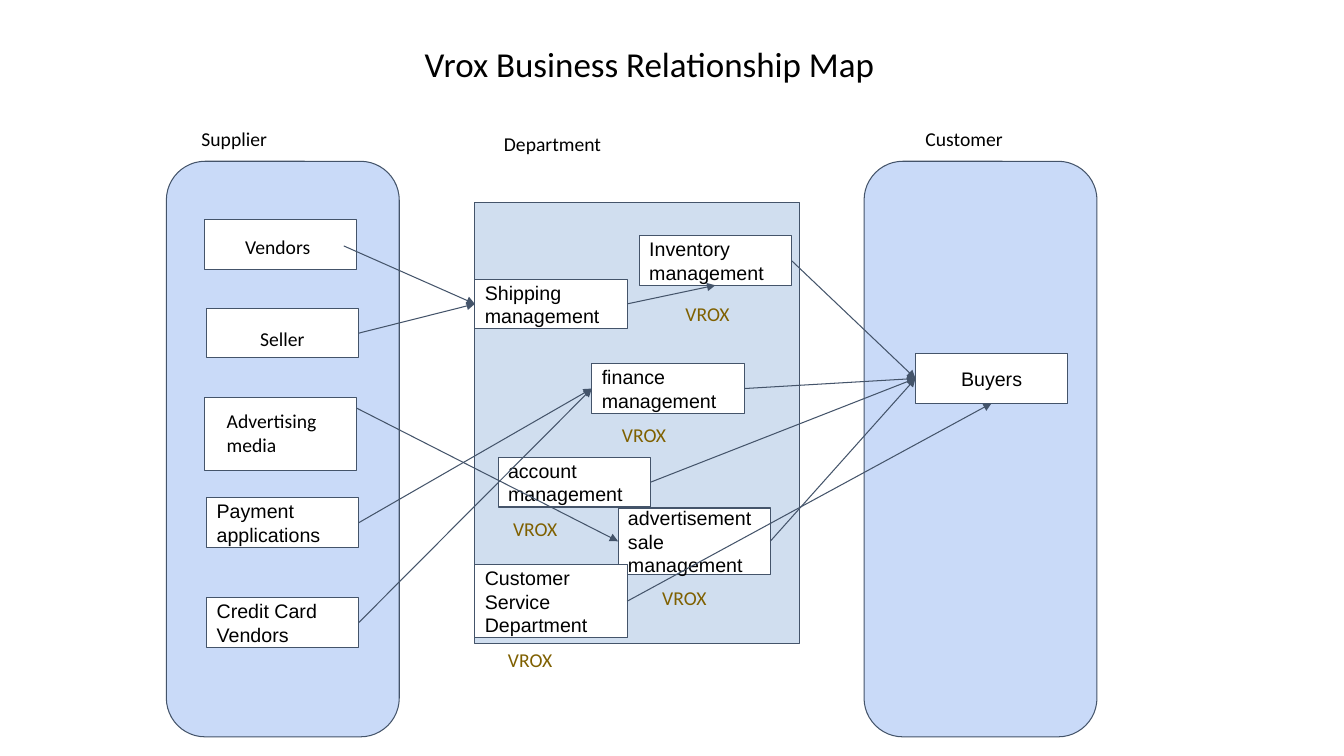
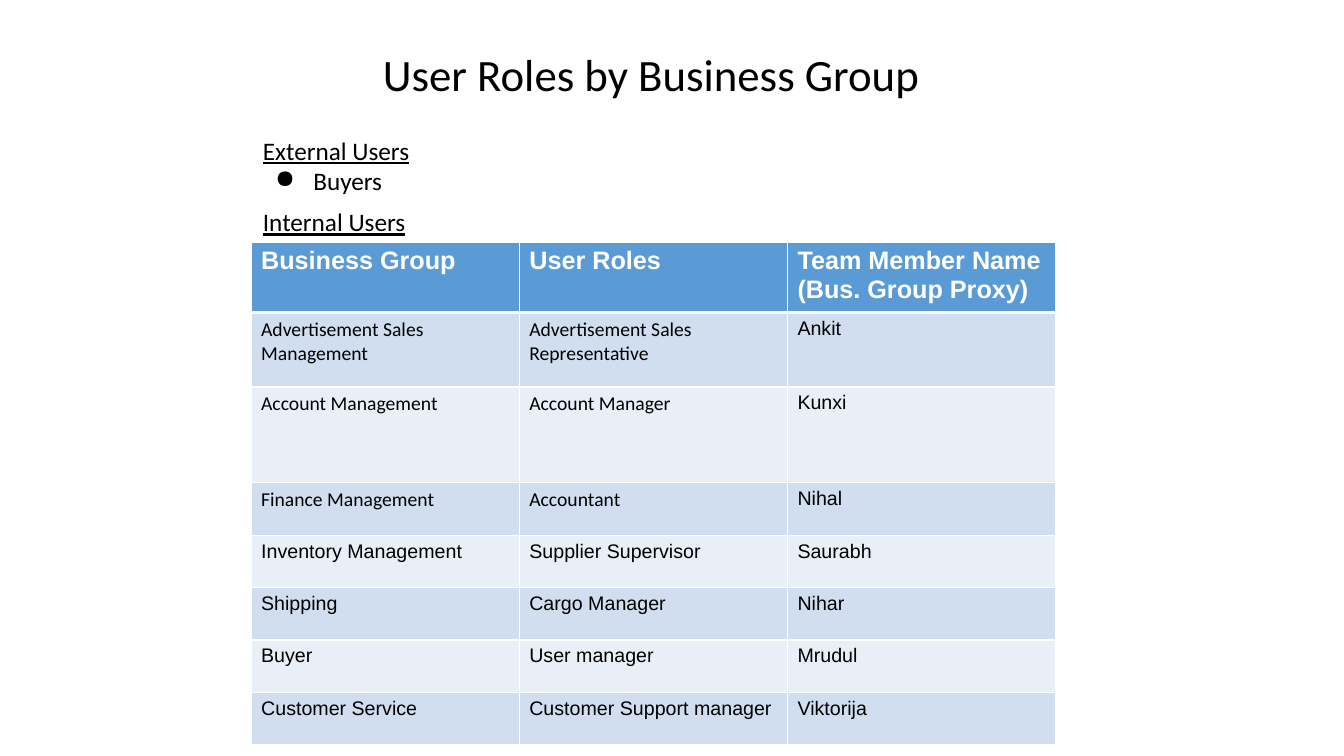
from dataclasses import dataclass

from lxml import etree
from pptx import Presentation
from pptx.dml.color import RGBColor
from pptx.enum.shapes import MSO_CONNECTOR, MSO_SHAPE
from pptx.enum.text import MSO_ANCHOR, MSO_AUTO_SIZE, PP_ALIGN
from pptx.oxml.ns import qn
from pptx.util import Emu, Pt

RECT = MSO_SHAPE.RECTANGLE
ROUNDED = MSO_SHAPE.FLOWCHART_ALTERNATE_PROCESS
STRAIGHT = MSO_CONNECTOR.STRAIGHT
LEFT, CENTER = PP_ALIGN.LEFT, PP_ALIGN.CENTER
MIDDLE, TOP_ANCHOR = MSO_ANCHOR.MIDDLE, MSO_ANCHOR.TOP
GROW = MSO_AUTO_SIZE.SHAPE_TO_FIT_TEXT
SITE_LEFT, SITE_BOTTOM, SITE_RIGHT = 1, 2, 3
EMU_PER_PX = 9144
BOX_W, BOX_H = 151, 49


@dataclass(frozen=True)
class Theme:
    """Colours, fonts, type sizes and line widths of both slides."""
    ink: str = "000000"
    paper: str = "FFFFFF"
    outline: str = "44546A"
    lane: str = "C9DAF8"
    band: str = "D0DEEF"
    band_light: str = "E9EFF7"
    header: str = "5B9BD5"
    tag: str = "7F6000"
    sans: str = "Arial"
    humanist: str = "Calibri"
    body: int = 14
    heading: int = 18
    map_title: int = 25
    roles_title: int = 32
    stroke: float = 0.75


THEME = Theme()

SUPPLIERS = [
    ("vendors", (203, 218), BOX_H, ""),
    ("seller", (205, 306), BOX_H, ""),
    ("media", (203, 394), 73, ""),
    ("payment", (205, 494), BOX_H, "Payment applications"),
    ("credit", (205, 593), BOX_H, "Credit Card Vendors"),
]
DEPARTMENTS = [
    ("shipping", (471, 277), BOX_H, "Shipping management"),
    ("finance", (587, 361), BOX_H, "finance management"),
    ("account", (494, 454), BOX_H, "account management"),
    ("advertisement", (613, 504), 66, "advertisement sale management"),
    ("inventory", (634, 234), BOX_H, "Inventory management"),
    ("service", (471, 560), 73, "Customer Service Department"),
]
SUPPLIER_CAPTIONS = [
    ("Vendors", (210, 223, 131, 44), CENTER),
    ("Seller", (219, 314, 122, 44), CENTER),
    ("Advertising media", (215, 396, 122, 67), LEFT),
]
LANE_CAPTIONS = [
    ("Supplier", (190, 116, 180, 44), LEFT),
    ("Department", (490, 121, 274, 44), LEFT),
    ("Customer", (908, 116, 231, 44), LEFT),
]
TAG_FRAMES = [
    (670, 290, 89, 44), (607, 410, 75, 44), (647, 571, 84, 44),
    (499, 503, 88, 44), (494, 633, 104, 44),
]
FLOWS = [
    ((341, 244), "shipping", SITE_LEFT),
    ("seller", "shipping", SITE_LEFT),
    ((354, 405), "advertisement", SITE_LEFT),
    ("payment", "finance", SITE_LEFT),
    ("credit", "finance", SITE_LEFT),
    ("shipping", "inventory", SITE_BOTTOM),
    ("inventory", "buyers", SITE_LEFT),
    ("finance", "buyers", SITE_LEFT),
    ("advertisement", "buyers", SITE_LEFT),
    ("account", "buyers", SITE_LEFT),
    ("service", "buyers", SITE_BOTTOM),
]
ROLE_HEADER = ["Business Group", "User Roles", "Team Member Name\n(Bus. Group Proxy)"]
ROLE_ROWS = [
    ["Advertisement Sales Management", "Advertisement Sales Representative", "Ankit"],
    ["Account Management", "Account Manager", "Kunxi"],
    ["Finance Management", "Accountant", "Nihal"],
    ["Inventory Management", "Supplier Supervisor", "Saurabh"],
    ["Shipping", "Cargo Manager", "Nihar"],
    ["Buyer", "User manager", "Mrudul"],
    ["Customer Service", "Customer Support manager", "Viktorija"],
]
ROLE_HEIGHTS = [65, 74, 95] + [52] * 5
ROLE_COLUMN = 266


def px(*lengths):
    """Turn whole pixels into EMU lengths."""
    return [Emu(length * EMU_PER_PX) for length in lengths]


def rgb(colour):
    """Return a theme colour as an RGBColor."""
    return RGBColor.from_string(colour)


def add_run(paragraph, text, font, size=THEME.body, colour=THEME.ink, bold=False, underline=False):
    """Append one formatted run to a paragraph."""
    run = paragraph.add_run()
    run.text = text
    run.font.name = font
    run.font.size = Pt(size)
    run.font.color.rgb = rgb(colour)
    run.font.bold = bold
    run.font.underline = underline


def set_frame(frame, pad, anchor):
    """Wrap the text frame and give it insets and an anchor."""
    frame.word_wrap = True
    frame.margin_left, frame.margin_right = px(10, 10)
    frame.margin_top, frame.margin_bottom = px(pad, pad)
    frame.vertical_anchor = anchor


def add_text(slide, text, place, align=LEFT, pad=10, **style):
    """Add a text box with one run and return its text frame."""
    frame = slide.shapes.add_textbox(*px(*place)).text_frame
    set_frame(frame, pad, TOP_ANCHOR)
    frame.auto_size = GROW
    frame.paragraphs[0].alignment = align
    add_run(frame.paragraphs[0], text, THEME.humanist, **style)
    return frame


def add_panel(slide, preset, place, fill):
    """Add a filled, thinly outlined shape."""
    panel = slide.shapes.add_shape(preset, *px(*place))
    panel.shadow.inherit = False
    panel.fill.solid()
    panel.fill.fore_color.rgb = rgb(fill)
    panel.line.color.rgb = rgb(THEME.outline)
    panel.line.width = Pt(THEME.stroke)
    return panel


def add_box(slide, corner, height, label, align=LEFT):
    """Add a white node of the map, with a label if there is one."""
    box = add_panel(slide, RECT, (*corner, BOX_W, height), THEME.paper)
    set_frame(box.text_frame, 10, MIDDLE)
    if label:
        box.text_frame.paragraphs[0].alignment = align
        add_run(box.text_frame.paragraphs[0], label, THEME.sans)
    return box


def add_flow(slide, boxes, source, target, site):
    """Draw an arrow from a node or a point to a site of a node."""
    start = (0, 0) if isinstance(source, str) else source
    arrow = slide.shapes.add_connector(STRAIGHT, *px(*start, *start))
    if isinstance(source, str):
        arrow.begin_connect(boxes[source], SITE_RIGHT)
    arrow.end_connect(boxes[target], site)
    arrow.line.color.rgb = rgb(THEME.outline)
    arrow.line.width = Pt(THEME.stroke)
    etree.SubElement(arrow.line._get_or_add_ln(), qn("a:tailEnd"), type="triangle")
    etree.SubElement(arrow._element.spPr, qn("a:effectLst"))


def add_bullet(frame, text):
    """Append a bulleted paragraph to a text frame."""
    paragraph = frame.add_paragraph()
    indent, hanging = px(50, -38)
    properties = paragraph._p.get_or_add_pPr()
    properties.set("marL", str(indent))
    properties.set("indent", str(hanging))
    bullet_colour = etree.SubElement(properties, qn("a:buClr"))
    etree.SubElement(bullet_colour, qn("a:srgbClr"), val=THEME.ink)
    etree.SubElement(properties, qn("a:buChar"), char="●")
    add_run(paragraph, text, THEME.humanist, THEME.heading)


def set_borders(cell, top, bottom):
    """Give a cell white borders, with its own top and bottom widths."""
    properties = cell._tc.get_or_add_tcPr()
    for position, (side, width) in enumerate(zip("LRTB", (1, 1, top, bottom))):
        border = etree.Element(qn(f"a:ln{side}"), w=str(Pt(width)))
        fill = etree.SubElement(border, qn("a:solidFill"))
        etree.SubElement(fill, qn("a:srgbClr"), val=THEME.paper)
        properties.insert(position, border)


def fill_cell(cell, text, fill, font, top=1, bottom=1, **style):
    """Write a table cell, one paragraph a line, and colour it."""
    cell.fill.solid()
    cell.fill.fore_color.rgb = rgb(fill)
    set_borders(cell, top, bottom)
    for number, line in enumerate(text.split("\n")):
        frame = cell.text_frame
        paragraph = frame.add_paragraph() if number else frame.paragraphs[0]
        add_run(paragraph, line, font, **style)


def add_role_table(slide):
    """Add the banded table of groups, roles and people."""
    place = px(249, 240, ROLE_COLUMN * len(ROLE_HEADER), sum(ROLE_HEIGHTS))
    table = slide.shapes.add_table(len(ROLE_HEIGHTS), len(ROLE_HEADER), *place).table
    for column in table.columns:
        column.width = px(ROLE_COLUMN)[0]
    for row, height in zip(table.rows, ROLE_HEIGHTS):
        row.height = px(height)[0]
    for column, heading in enumerate(ROLE_HEADER):
        fill_cell(table.cell(0, column), heading, THEME.header, THEME.sans, bottom=3,
                  size=THEME.heading, colour=THEME.paper, bold=True)
    for row, entries in enumerate(ROLE_ROWS, 1):
        fill = THEME.band if row % 2 else THEME.band_light
        for column, entry in enumerate(entries):
            font = THEME.humanist if row <= 3 and column < 2 else THEME.sans
            fill_cell(table.cell(row, column), entry, fill, font, top=3 if row == 1 else 1)


def build_map(slide):
    """Build the relationship map of suppliers, departments and customers."""
    for lane_left in (165, 857):
        add_panel(slide, ROUNDED, (lane_left, 160, 231, 571), THEME.lane)
    add_panel(slide, RECT, (471, 201, 322, 437), THEME.band)
    boxes = {key: add_box(slide, corner, height, label)
             for key, corner, height, label in SUPPLIERS + DEPARTMENTS}
    boxes["buyers"] = add_box(slide, (908, 351), BOX_H, "Buyers", CENTER)
    for flow in FLOWS:
        add_flow(slide, boxes, *flow)
    for caption in SUPPLIER_CAPTIONS + LANE_CAPTIONS:
        add_text(slide, *caption)
    for place in TAG_FRAMES:
        add_text(slide, "VROX", place, colour=THEME.tag)
    add_text(slide, "Vrox Business Relationship Map", (190, 32, 908, 62), CENTER,
             size=THEME.map_title)


def build_roles(slide):
    """Build the list of external users and the table of internal ones."""
    add_text(slide, "User Roles by Business Group", (370, 41, 557, 64), pad=5,
             size=THEME.roles_title)
    add_role_table(slide)
    external = add_text(slide, "External Users", (251, 129, 364, 71), pad=5,
                        size=THEME.heading, underline=True)
    add_bullet(external, "Buyers")
    add_text(slide, "Internal Users", (251, 200, 163, 40), pad=5,
             size=THEME.heading, underline=True)


def main():
    """Build both slides and save the presentation."""
    deck = Presentation()
    deck.slide_width, deck.slide_height = px(1333, 750)
    blank = deck.slide_layouts[6]
    for build in (build_map, build_roles):
        build(deck.slides.add_slide(blank))
    deck.save("out.pptx")


if __name__ == "__main__":
    main()
